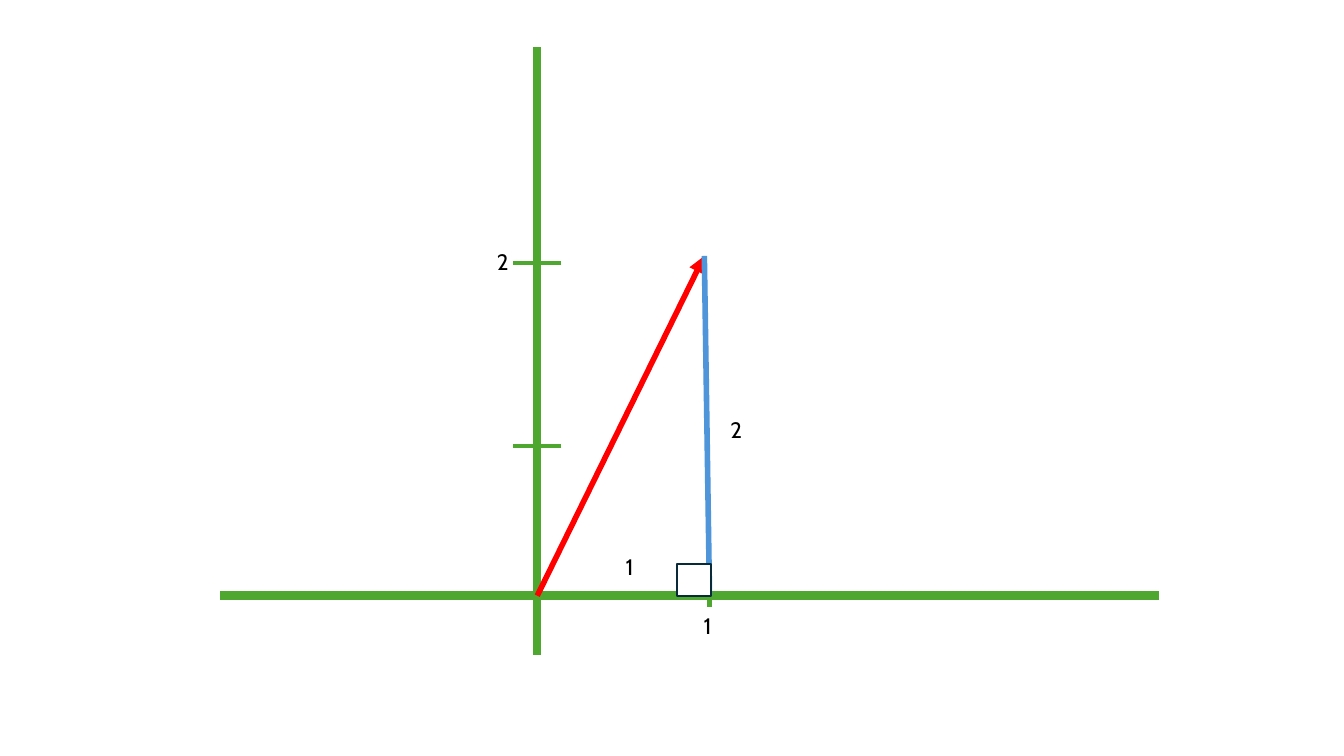
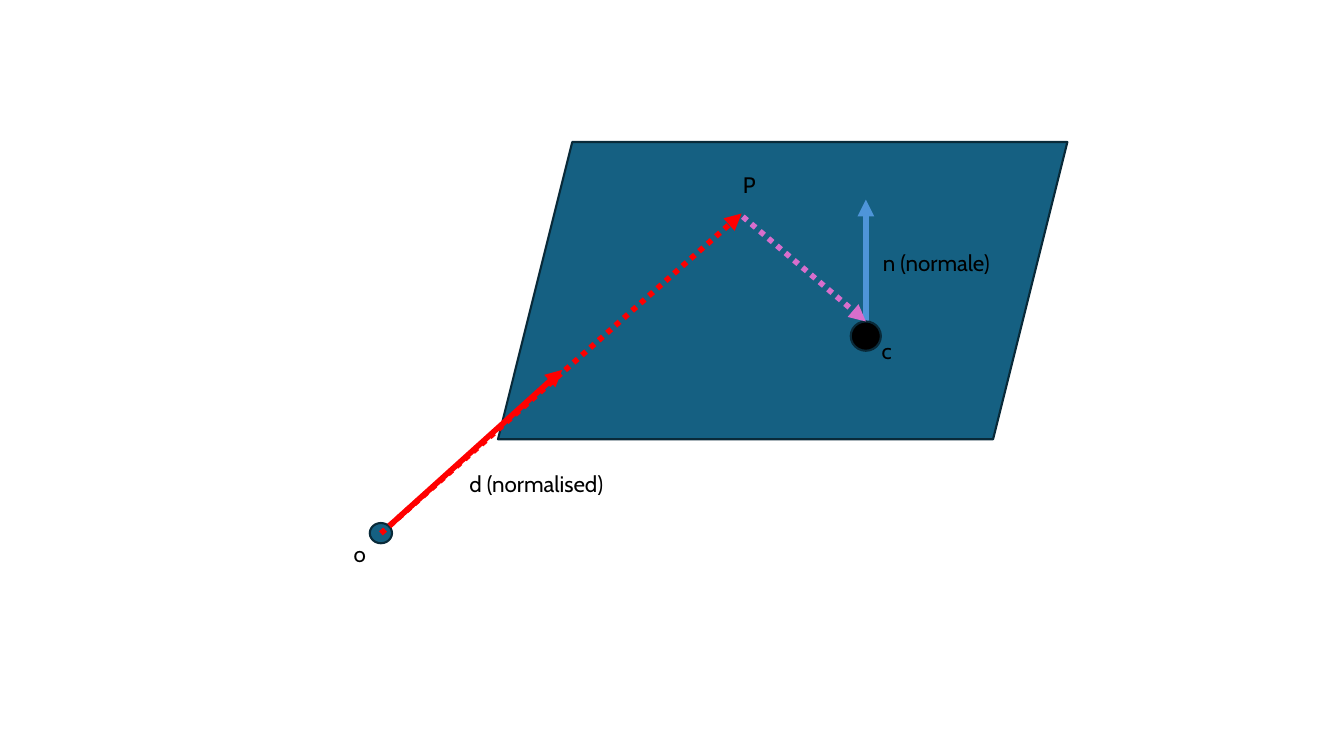
from dataclasses import dataclass

from lxml.etree import SubElement
from pptx import Presentation
from pptx.dml.color import RGBColor
from pptx.enum.dml import MSO_LINE
from pptx.enum.shapes import MSO_CONNECTOR, MSO_SHAPE
from pptx.enum.text import MSO_AUTO_SIZE
from pptx.oxml.ns import qn
from pptx.util import Cm, Pt


@dataclass(frozen=True)
class Theme:
    axis: RGBColor = RGBColor(0x4E, 0xA7, 0x2E)
    vector: RGBColor = RGBColor(0xFF, 0x00, 0x00)
    normal: RGBColor = RGBColor(0x4E, 0x95, 0xD9)
    offset: RGBColor = RGBColor(0xD8, 0x6E, 0xCC)
    plane: RGBColor = RGBColor(0x15, 0x60, 0x82)
    outline: RGBColor = RGBColor(0x09, 0x2A, 0x39)
    black: RGBColor = RGBColor(0x00, 0x00, 0x00)
    white: RGBColor = RGBColor(0xFF, 0xFF, 0xFF)
    font: str = "Cabin"
    label_size: Pt = Pt(16)
    axis_width: Pt = Pt(6)
    vector_width: Pt = Pt(4)
    tick_width: Pt = Pt(3)
    outline_width: Pt = Pt(1.5)


theme = Theme()


def add_line(slide, start, end, color, width, arrow=False, dotted=False):
    """Draw a straight line between two points given in centimetres."""
    connector = slide.shapes.add_connector(
        MSO_CONNECTOR.STRAIGHT, *(Cm(value) for value in (*start, *end)))
    connector.line.color.rgb = color
    connector.line.width = width
    if dotted:
        connector.line.dash_style = MSO_LINE.ROUND_DOT
    properties = connector.element.spPr
    if arrow:
        SubElement(properties.find(qn("a:ln")), qn("a:tailEnd"), type="triangle")
    SubElement(properties, qn("a:effectLst"))


def add_figure(slide, preset, box, fill):
    """Draw an outlined preset shape in a box given in centimetres."""
    figure = slide.shapes.add_shape(preset, *(Cm(value) for value in box))
    figure.shadow.inherit = False
    figure.fill.solid()
    figure.fill.fore_color.rgb = fill
    figure.line.color.rgb = theme.outline
    figure.line.width = theme.outline_width


prs = Presentation()
prs.slide_width = Cm(33.87)
prs.slide_height = Cm(19.05)
blank = prs.slide_layouts[6]

# Slide 1: the vector (1, 2) as the hypotenuse of a right triangle
triangle_slide = prs.slides.add_slide(blank)
origin_x, origin_y = origin = (13.54, 15.01)
tip = (17.75, 6.45)
foot_x = 17.88

# Axes and vector
add_line(triangle_slide, (29.21, origin_y), (5.54, origin_y), theme.axis, theme.axis_width)
add_line(triangle_slide, (origin_x, 1.19), (origin_x, 16.51), theme.axis, theme.axis_width)
add_line(triangle_slide, origin, tip, theme.vector, theme.vector_width, arrow=True)

# Ticks
half_tick = 0.61
for tick_y in (11.23, 6.63):
    add_line(triangle_slide, (origin_x + half_tick, tick_y), (origin_x - half_tick, tick_y),
             theme.axis, theme.tick_width)
add_line(triangle_slide, (foot_x, 15.29), (foot_x, 14.53), theme.axis, theme.tick_width)

# Vertical side and right-angle mark
add_line(triangle_slide, (foot_x, origin_y), tip, theme.normal, theme.vector_width)
add_figure(triangle_slide, MSO_SHAPE.RECTANGLE, (17.07, 14.22, 0.84, 0.79), theme.white)

# Slide 2: a ray meeting a plane
plane_slide = prs.slides.add_slide(blank)
center_top = (21.82, 8.1)

# Plane, ray direction and ray origin
add_figure(plane_slide, MSO_SHAPE.PARALLELOGRAM, (12.55, 3.58, 14.35, 7.49), theme.plane)
add_line(plane_slide, (9.8, 13.26), (14.17, 9.32), theme.vector, theme.vector_width, arrow=True)
add_figure(plane_slide, MSO_SHAPE.OVAL, (9.32, 13.18, 0.56, 0.51), theme.plane)

# Ray to P, normal, plane centre and the way from P to the centre
add_line(plane_slide, (9.6, 13.44), (18.69, 5.38), theme.vector, theme.vector_width,
         arrow=True, dotted=True)
add_line(plane_slide, center_top, (21.82, 5.03), theme.normal, theme.vector_width, arrow=True)
add_figure(plane_slide, MSO_SHAPE.OVAL, (21.44, 8.1, 0.76, 0.74), theme.black)
add_line(plane_slide, (18.72, 5.46), center_top, theme.offset, theme.vector_width,
         arrow=True, dotted=True)

# Labels of both slides: slide, wording, left, top, width
labels = [
    (triangle_slide, "2", 12.27, 6.12, 0.81),
    (triangle_slide, "1", 17.48, 15.29, 0.81),
    (triangle_slide, "2", 18.16, 10.36, 0.81),
    (triangle_slide, "1", 15.52, 13.82, 0.81),
    (plane_slide, "o", 8.66, 13.49, 0.84),
    (plane_slide, "d (normalised)", 11.58, 11.71, 4.09),
    (plane_slide, "c", 21.97, 8.38, 0.81),
    (plane_slide, "P", 18.47, 4.19, 0.84),
    (plane_slide, "n (normale)", 22, 6.15, 3.35),
]
for slide, wording, left, top, width in labels:
    label = slide.shapes.add_textbox(Cm(left), Cm(top), Cm(width), Cm(0.94))
    label.text_frame.word_wrap = False
    label.text_frame.auto_size = MSO_AUTO_SIZE.SHAPE_TO_FIT_TEXT
    run = label.text_frame.paragraphs[0].add_run()
    run.text = wording
    run.font.name = theme.font
    run.font.size = theme.label_size
    run.font.color.rgb = theme.black

prs.save("out.pptx")
